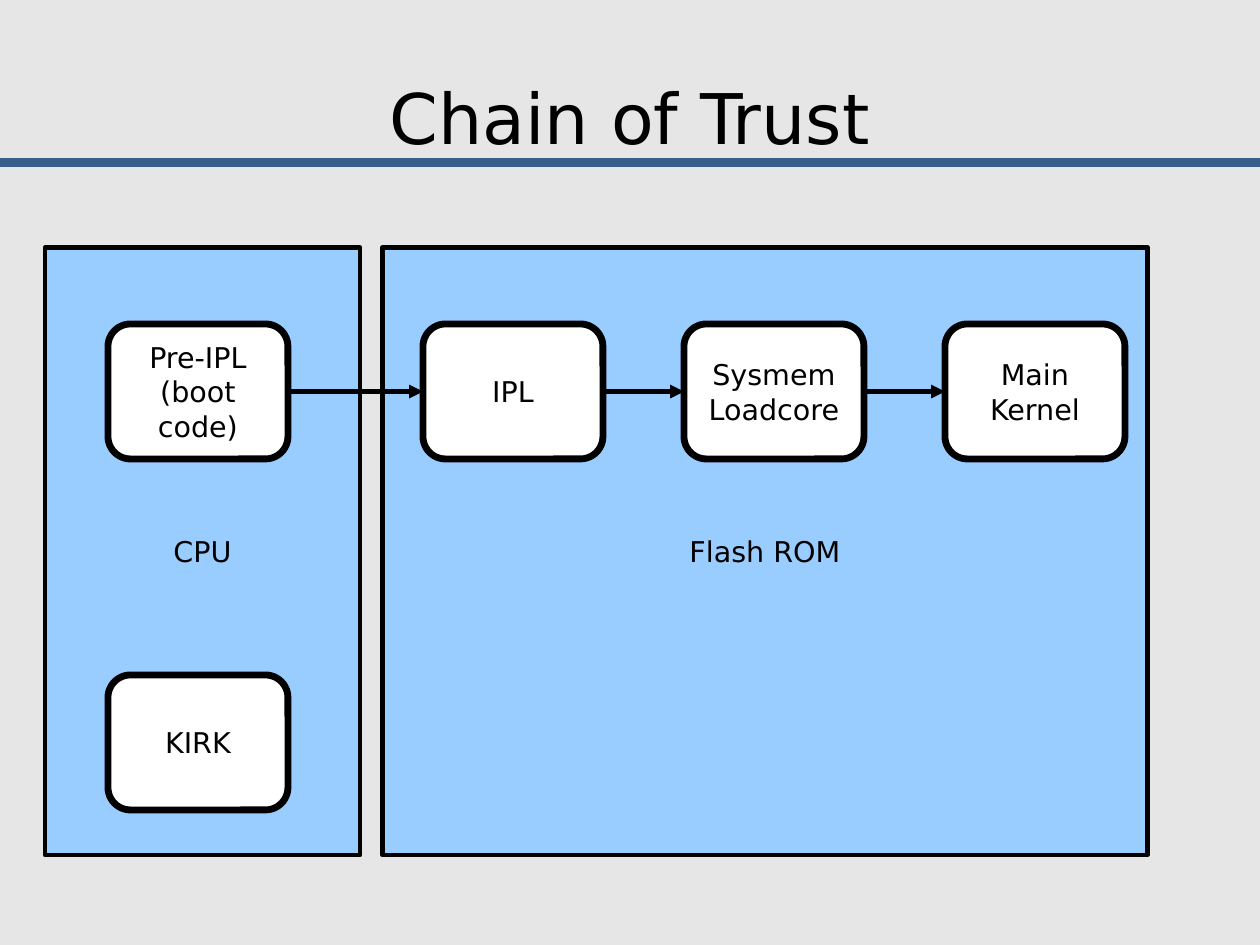
from pptx import Presentation
from pptx.dml.color import RGBColor
from pptx.enum.shapes import MSO_CONNECTOR, MSO_SHAPE
from pptx.enum.text import MSO_ANCHOR, PP_ALIGN
from pptx.oxml.ns import qn
from pptx.util import Cm, Inches, Pt
from lxml.etree import SubElement

HUES = {name: RGBColor.from_string(code) for name, code in {
    "back": "E6E6E6", "rule": "385D8A", "panel": "99CCFF",
    "box": "FFFFFF", "ink": "000000"}.items()}
FONT = "DejaVu Sans"

# Slide: a grid of 28 columns by 21 rows, one centimetre each
deck = Presentation()
deck.slide_width, deck.slide_height = Cm(28), Cm(21)
slide = deck.slides.add_slide(deck.slide_layouts[5])
slide.background.fill.solid()
slide.background.fill.fore_color.rgb = HUES["back"]
shapes = slide.shapes


def write(shape, text, size, pad):
    frame = shape.text_frame
    frame.text = text
    form = {"word_wrap": True, "vertical_anchor": MSO_ANCHOR.MIDDLE,
            "margin_left": Inches(pad[0]), "margin_right": Inches(pad[0]),
            "margin_top": Inches(pad[1]), "margin_bottom": Inches(pad[1])}
    for key, value in form.items():
        setattr(frame, key, value)
    for para in frame.paragraphs:
        para.alignment = PP_ALIGN.CENTER
        for key, value in {"name": FONT, "size": Pt(size)}.items():
            setattr(para.font, key, value)
        para.font.color.rgb = HUES["ink"]


def link(start, end, hue, width):
    line = shapes.add_connector(MSO_CONNECTOR.STRAIGHT, *start, *end)
    line.line.color.rgb = HUES[hue]
    line.line.width = Pt(width)
    SubElement(line._element.spPr, qn("a:effectLst"))
    return line


# Title and the rule under it
link((0, Cm(3.6)), (deck.slide_width, Cm(3.6)), "rule", 5.67)
title = shapes.title
place = {"left": Cm(1.4), "top": Cm(0.84), "width": Cm(25.2), "height": Cm(3.5)}
for key, value in place.items():
    setattr(title, key, value)
write(title, "Chain of Trust", 44, (0, 0))

# Panels, then boxes: text, column, row
kinds = [
    (MSO_SHAPE.RECTANGLE, "panel", 2.89, (0.12, 0.07), 13.5,
     [("Flash ROM", 8.5, 5.5, 17), ("CPU", 1, 5.5, 7)]),
    (MSO_SHAPE.ROUNDED_RECTANGLE, "box", 4.31, (0.13, 0.08), 3,
     [("Pre-IPL\n(boot code)", 2.4, 7.2, 4), ("IPL", 9.4, 7.2, 4),
      ("Sysmem\nLoadcore", 15.2, 7.2, 4), ("Main Kernel", 21, 7.2, 4),
      ("KIRK", 2.4, 15, 4)]),
]
for form, hue, edge, pad, high, items in kinds:
    drawn = []
    for text, col, row, wide in items:
        shape = shapes.add_shape(form, Cm(col), Cm(row), Cm(wide), Cm(high))
        shape.shadow.inherit = False
        shape.fill.solid()
        shape.fill.fore_color.rgb = HUES[hue]
        shape.line.color.rgb = HUES["ink"]
        shape.line.width = Pt(edge)
        write(shape, text, 18, pad)
        drawn.append(shape)

# Arrows along the boot chain, right side to left side
chain = drawn[:4]
for prev, new in zip(chain, chain[1:]):
    arrow = link((0, 0), (0, 0), "ink", 2.89)
    arrow.begin_connect(prev, 3)
    arrow.end_connect(new, 1)
    SubElement(arrow.line._get_or_add_ln(), qn("a:tailEnd"), type="triangle")

deck.save("out.pptx")
